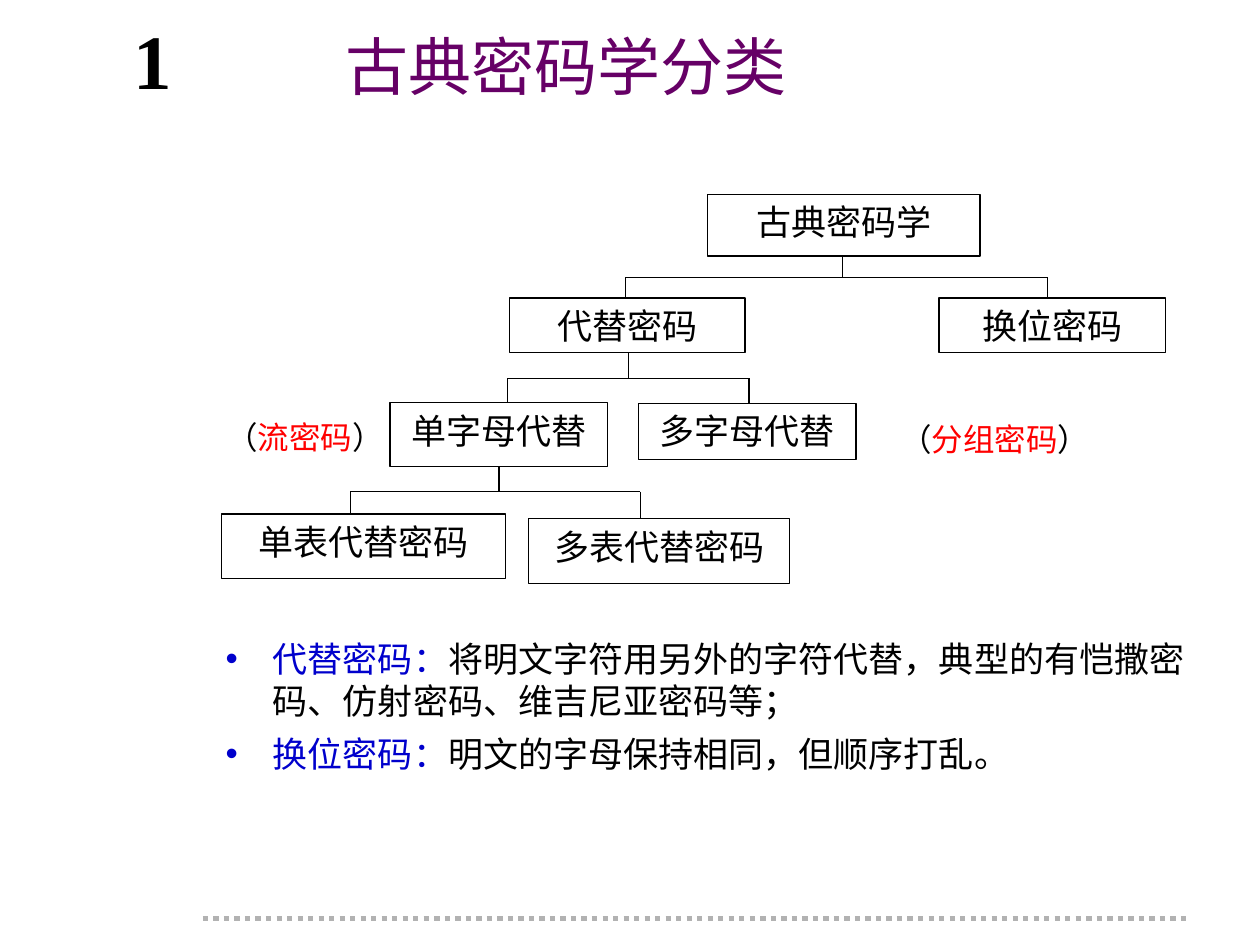
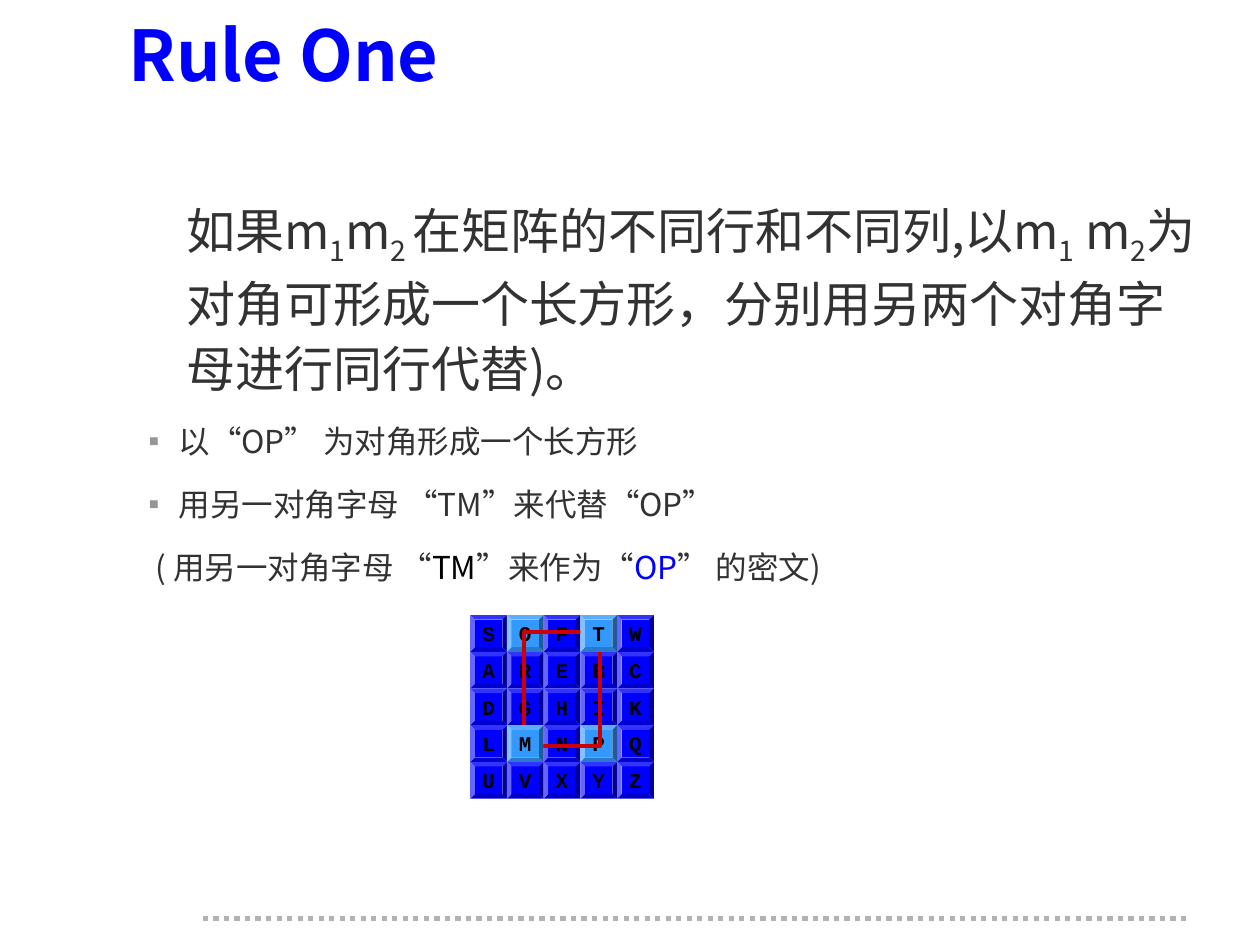
from lxml import etree
from pptx import Presentation
from pptx import util as u
from pptx.dml import color
from pptx.enum import dml, shapes, text
from pptx.oxml import ns

COLORS = {
    "ink": "000000", "paper": "FFFFFF", "footer": "B2B2B2", "heading": "660066",
    "term": "0000CC", "note": "FF0000", "rule": "0000FF", "body": "323232",
    "bullet": "969696", "key": "0000FF", "chosen": "3399FF", "frame": "CC0000",
}
CJK = "Noto Sans CJK SC"
FOOTER = (4.09, 18.52, 23.9, 18.52)

CHAPTER = ("1", (1.17, 0.33, 3.81, 1.96))
TREE_TITLE = ("古典密码学分类", (4.3, 0.64, 14.2, 1.35))
TREE = {
    "古典密码学": (14.27, 3.92, 5.49, 1.24),
    "代替密码": (10.27, 6.01, 4.75, 1.1),
    "换位密码": (18.93, 6.01, 4.57, 1.1),
    "单字母代替": (7.86, 8.12, 4.39, 1.29),
    "多字母代替": (12.87, 8.13, 4.39, 1.14),
    "单表代替密码": (4.46, 10.36, 5.73, 1.3),
    "多表代替密码": (10.66, 10.46, 5.26, 1.3),
}
BRANCHES = [
    ("古典密码学", 16.99, 5.59, {"代替密码": 12.61, "换位密码": 21.12}),
    ("代替密码", 12.67, 7.63, {"单字母代替": 10.23, "多字母代替": 15.1}),
    ("单字母代替", 10.06, 9.91, {"单表代替密码": 7.06, "多表代替密码": 12.91}),
]
NOTES = [("流密码", (4.27, 8.43, 3.76, 0.76)), ("分组密码", (17.87, 8.47, 4.37, 0.76))]
DEFINITIONS_AT = (4.3, 12.73, 20.4, 3.07)
DEFINITIONS = [
    {"spans": [("代替密码：", "term"),
               ("将明文字符用另外的字符代替，典型的有恺撒密码、仿射密码、维吉尼亚密码等；", "ink")],
     "indent": (0.95, -0.95), "bullet": ("•", "term")},
    {"spans": [("换位密码：", "term"), ("明文的字母保持相同，但顺序打乱。", "ink", {"font": CJK})],
     "indent": (0.95, -0.95), "bullet": ("•", "term"), "before": 6},
]

RULE_TITLE = ("Rule One", (2.59, 0.38, 19.08, 1.55))
RULE_AT = (2.79, 3.91, 21.34, 13.61)
SUB = {"sub": True}
STEP = {"level": 1, "indent": (0.81, -0.61), "spacing": u.Pt(24), "after": 12, "size": 18}
SQUARE = {**STEP, "bullet": ("▪", "bullet")}
RULE = [
    {"spans": [("如果m", "body"), ("1", "body", SUB), ("m", "body"), ("2 ", "body", SUB),
               ("在矩阵的不同行和不同列,以m", "body"), ("1", "body", SUB), (" m", "body"),
               ("2", "body", SUB),
               ("为对角可形成一个长方形，分别用另两个对角字母进行同行代替)。", "body")],
     "indent": (0.97, 0), "spacing": 1.1, "after": 12},
    {"spans": [("以“OP” 为对角形成一个长方形", "body")], **SQUARE},
    {"spans": [("用另一对角字母 “TM”来代替“OP”", "body")], **SQUARE},
    {"spans": [(" ( 用另一对角字母 “", "body"), ("TM", "ink"), ("”来作为“", "body"),
               ("OP", "rule"), ("” 的密文)", "body")], **STEP},
]
MATRIX = ["SOFTW", "AREBC", "DGHIK", "LMNPQ", "UVXYZ"]
PLAIN, CIPHER = "OP", "TM"
MATRIX_LEFT, MATRIX_TOP, KEY = 9.48, 12.4, 0.74
FRAME = (10.57, 12.74, 1.52, 2.3)


def rgb(name):
    return color.RGBColor.from_string(COLORS[name])


def place(shape, at):
    shape.left, shape.top, shape.width, shape.height = map(u.Cm, at)


def add_bullet(properties, bullet):
    if bullet is None:
        etree.SubElement(properties, ns.qn("a:buNone"))
        return
    sign, shade = bullet
    tint = etree.SubElement(properties, ns.qn("a:buClr"))
    etree.SubElement(tint, ns.qn("a:srgbClr")).set("val", COLORS[shade])
    etree.SubElement(properties, ns.qn("a:buChar")).set("char", sign)


def add_span(para, words, shade, font, size, bold, options):
    span = para.add_run()
    span.text = words
    span.font.name = options.get("font", font)
    span.font.size = u.Pt(size)
    span.font.bold = bold
    span.font.color.rgb = rgb(shade)
    properties = span._r.get_or_add_rPr()
    etree.SubElement(properties, ns.qn("a:ea")).set("typeface", font)
    if options.get("sub"):
        properties.set("baseline", "-25000")


def write(shape, paragraphs, font, size, bold=False, align="LEFT", anchor="TOP",
          insets=(0.25, 0.13), wrap=True):
    frame = shape.text_frame
    frame.auto_size = text.MSO_AUTO_SIZE.NONE
    frame.word_wrap = wrap
    frame.vertical_anchor = getattr(text.MSO_ANCHOR, anchor)
    frame.margin_left = frame.margin_right = u.Cm(insets[0])
    frame.margin_top = frame.margin_bottom = u.Cm(insets[1])
    for index, item in enumerate(paragraphs):
        para = frame.add_paragraph() if index else frame.paragraphs[0]
        para.level = item.get("level", 0)
        margin, first = item.get("indent", (0, 0))
        properties = para._p.get_or_add_pPr()
        properties.set("marL", str(u.Cm(margin)))
        properties.set("indent", str(u.Cm(first)))
        add_bullet(properties, item.get("bullet"))
        para.alignment = getattr(text.PP_ALIGN, align)
        para.line_spacing = item.get("spacing", 1.0)
        para.space_before = u.Pt(item.get("before", 0))
        para.space_after = u.Pt(item.get("after", 0))
        for words, shade, *options in item["spans"]:
            add_span(para, words, shade, font, item.get("size", size), bold,
                     options[0] if options else {})


def add_line(page, ends, shade="ink", width=0.75, dash=None):
    line = page.shapes.add_connector(shapes.MSO_CONNECTOR.STRAIGHT, *map(u.Cm, ends))
    line.line.color.rgb = rgb(shade)
    line.line.width = u.Pt(width)
    if dash:
        line.line.dash_style = dash
    etree.SubElement(line._element.spPr, ns.qn("a:effectLst"))


def add_box(page, kind, at, fill=None, outline=None, width=0.75):
    box = page.shapes.add_shape(kind, *map(u.Cm, at))
    box.shadow.inherit = False
    if fill:
        box.fill.solid()
        box.fill.fore_color.rgb = rgb(fill)
    else:
        box.fill.background()
    if outline:
        box.line.color.rgb = rgb(outline)
        box.line.width = u.Pt(width)
    else:
        box.line.fill.background()
    return box


def add_page(deck, title_at, body_at):
    page = deck.slides.add_slide(deck.slide_layouts[1])
    title, body = page.placeholders
    place(title, title_at)
    place(body, body_at)
    add_line(page, FOOTER, "footer", 3, dml.MSO_LINE.ROUND_DOT)
    return page, title, body


def add_tree(page):
    for name, at in TREE.items():
        box = add_box(page, shapes.MSO_SHAPE.RECTANGLE, at, "paper", "ink")
        write(box, [{"spans": [(name, "ink")]}], "Arial", 20, align="CENTER", insets=(0, 0.13))
    for parent, stem, bar, children in BRANCHES:
        _, top, _, height = TREE[parent]
        add_line(page, (stem, top + height, stem, bar))
        add_line(page, (min(children.values()), bar, max(children.values()), bar))
        for child, x in children.items():
            add_line(page, (x, bar, x, TREE[child][1]))


def build_classification(deck):
    heading, heading_at = TREE_TITLE
    page, title, body = add_page(deck, heading_at, DEFINITIONS_AT)
    write(title, [{"spans": [(heading, "heading")]}], "Karla", 36, align="CENTER", anchor="MIDDLE")
    write(body, DEFINITIONS, "Karla", 20)
    add_tree(page)
    for note, at in NOTES:
        label = page.shapes.add_textbox(*map(u.Cm, at))
        spans = [("（", "ink"), (note, "note"), ("）", "ink")]
        write(label, [{"spans": spans}], "Arial", 18, align="CENTER", anchor="MIDDLE",
              insets=(0, 0))
    number, number_at = CHAPTER
    label = page.shapes.add_textbox(*map(u.Cm, number_at))
    write(label, [{"spans": [(number, "ink")], "spacing": 0.9}], "Times New Roman", 44,
          bold=True, align="CENTER")


def add_keys(page, letters, fill):
    for row, line in enumerate(MATRIX):
        for column, letter in enumerate(line):
            if letter in letters:
                at = (MATRIX_LEFT + column * KEY, MATRIX_TOP + row * KEY, KEY, KEY)
                key = add_box(page, shapes.MSO_SHAPE.BEVEL, at, fill)
                write(key, [{"spans": [(letter, "ink")]}], "Courier New", 12, bold=True,
                      align="CENTER", anchor="MIDDLE", insets=(0, 0), wrap=False)


def build_rule(deck):
    heading, heading_at = RULE_TITLE
    page, title, body = add_page(deck, heading_at, RULE_AT)
    write(title, [{"spans": [(heading, "rule")], "spacing": u.Pt(26)}], CJK, 40, bold=True,
          anchor="BOTTOM", insets=(0, 0))
    write(body, RULE, CJK, 28, insets=(0, 0))
    add_keys(page, set("".join(MATRIX)) - set(PLAIN + CIPHER), "key")
    add_keys(page, PLAIN, "chosen")
    add_box(page, shapes.MSO_SHAPE.RECTANGLE, FRAME, outline="frame", width=2.25)
    add_keys(page, CIPHER, "chosen")


def main():
    deck = Presentation()
    deck.slide_width, deck.slide_height = u.Cm(25.4), u.Cm(19.05)
    build_classification(deck)
    build_rule(deck)
    deck.save("out.pptx")


if __name__ == "__main__":
    main()
